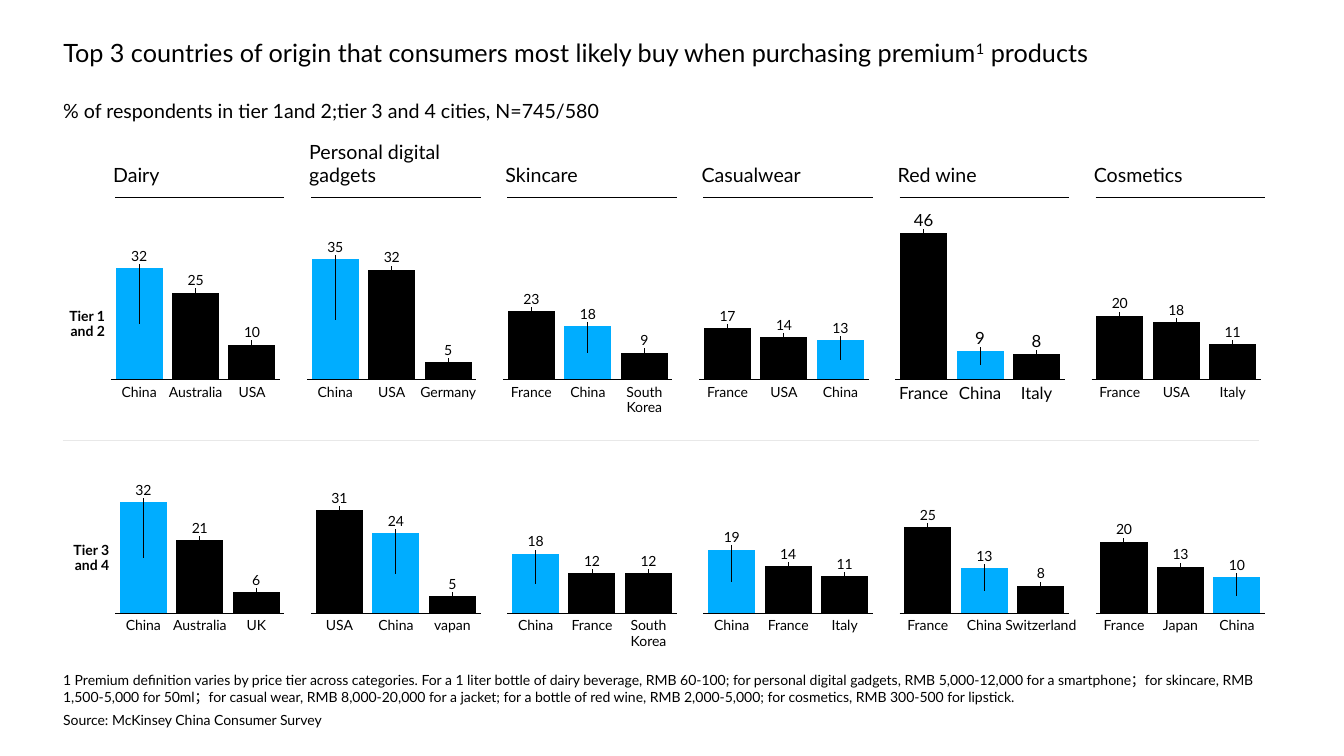
from pptx import Presentation
from pptx.chart.data import CategoryChartData
from pptx.dml.color import RGBColor
from pptx.enum.chart import XL_CHART_TYPE, XL_TICK_LABEL_POSITION, XL_TICK_MARK
from pptx.enum.shapes import MSO_CONNECTOR
from pptx.enum.text import MSO_ANCHOR, PP_ALIGN
from pptx.oxml import parse_xml
from pptx.oxml.ns import nsdecls, qn
from pptx.util import Pt

FONT = "Lato"
COLORS = {"ink": "000000", "china": "00ADFF", "divider": "E8E8E8"}

TITLE = "Top 3 countries of origin that consumers most likely buy when purchasing premium^1^ products"
SUBTITLE = "% of respondents in tier 1and 2;tier 3 and 4 cities, N=745/580"
FOOTNOTE = (
    "1 Premium definition varies by price tier across categories. For a 1 liter bottle of dairy beverage, "
    "RMB 60-100; for personal digital gadgets, RMB 5,000-12,000 for a smartphone；for skincare, "
    "RMB 1,500-5,000 for 50ml；for casual wear, RMB 8,000-20,000 for a jacket; for a bottle of red wine, "
    "RMB 2,000-5,000; for cosmetics, RMB 300-500 for lipstick."
)
SOURCE = "Source: McKinsey China Consumer Survey"

CATEGORIES = ["Dairy", "Personal digital\ngadgets", "Skincare", "Casualwear", "Red wine", "Cosmetics"]
TIERS = [
    {
        "name": "Tier 1\vand 2", "baseline": 271, "shift": 0, "large": "Red wine",
        "charts": [
            (79.3, [("China", 32), ("Australia", 25), ("USA", 10)]),
            (85.6, [("China", 35), ("USA", 32), ("Germany", 5)]),
            (48.9, [("France", 23), ("China", 18), ("South\vKorea", 9)]),
            (36.7, [("France", 17), ("USA", 14), ("China", 13)]),
            (104.8, [("France", 46), ("China", 9), ("Italy", 8)]),
            (45.4, [("France", 20), ("USA", 18), ("Italy", 11)]),
        ],
    },
    {
        "name": "Tier 3\vand 4", "baseline": 438, "shift": 3, "large": None,
        "charts": [
            (79.3, [("China", 32), ("Australia", 21), ("UK", 6)]),
            (73.5, [("USA", 31), ("China", 24), ("vapan", 5)]),
            (42.5, [("China", 18), ("France", 12), ("South\vKorea", 12)]),
            (45.4, [("China", 19), ("France", 14), ("Italy", 11)]),
            (61.2, [("France", 25), ("China", 13), ("Switzerland", 8)]),
            (51, [("France", 20), ("Japan", 13), ("China", 10)]),
        ],
    },
]

FIRST_LEFT, PITCH = 72.7, 140.1
CHART_WIDTH, PLOT_INSET, PLOT_WIDTH = 134, 6.5, 121
SLOT = PLOT_WIDTH / 3
ROOM_ABOVE, ROOM_BELOW = 25.5, 17.6
NAME_WIDTH = 54


def color(name):
    return RGBColor.from_string(COLORS[name])


def write(frame, text, size=10, bold=False, align=PP_ALIGN.LEFT, anchor=MSO_ANCHOR.TOP,
          spacing=None, wrap=False, inset=True):
    frame.word_wrap = wrap
    frame.vertical_anchor = anchor
    if not inset:
        frame.margin_left = frame.margin_right = frame.margin_top = frame.margin_bottom = 0
    for number, line in enumerate(text.split("\n")):
        para = frame.add_paragraph() if number else frame.paragraphs[0]
        para.alignment = align
        if spacing:
            para.line_spacing = spacing
        for row, piece in enumerate(line.split("\v")):
            if row:
                para.add_line_break()
            for part, words in enumerate(piece.split("^")):
                span = para.add_run()
                span.text = words
                span.font.name = FONT
                span.font.size = Pt(size)
                span.font.bold = bold
                span.font.color.rgb = color("ink")
                if part % 2:
                    span.font._element.set("baseline", "30000")


def add_text(page, left, top, width, height, text, **style):
    box = page.shapes.add_textbox(Pt(left), Pt(top), Pt(width), Pt(height))
    write(box.text_frame, text, **style)


def add_rule(page, left, right, y, shade):
    rule = page.shapes.add_connector(MSO_CONNECTOR.STRAIGHT, Pt(left), Pt(y), Pt(right), Pt(y))
    rule.line.color.rgb = color(shade)
    rule.line.width = Pt(1)
    rule._element.spPr.append(parse_xml(f"<a:effectLst {nsdecls('a')}/>"))


def manual_layout(**settings):
    items = "".join(f'<c:{key} val="{value}"/>' for key, value in settings.items())
    return parse_xml(f"<c:layout {nsdecls('c')}><c:manualLayout>{items}</c:manualLayout></c:layout>")


def lift_labels(series, values, plot_height, height, size):
    labels = series.data_labels
    labels.show_value = True
    for index, value in enumerate(values):
        font = series.points[index].data_label.font
        font.name = FONT
        font.size = Pt(size)
        font.color.rgb = color("ink")
        lift = plot_height * value / values[0] / 2 + size * 0.3 + 5.6
        entry = series._element.xpath("c:dLbls/c:dLbl")[index]
        entry.insert(1, manual_layout(x=0, y=round(-lift / height, 4)))
    series._element.find(qn("c:dLbls")).append(parse_xml(
        f'<c:extLst {nsdecls("c")}><c:ext uri="{{CE6537A1-D6FC-4f65-9D91-7224C49458BB}}" '
        'xmlns:c15="http://schemas.microsoft.com/office/drawing/2012/chart">'
        '<c15:showLeaderLines val="1"/></c:ext></c:extLst>'))


def add_bars(page, left, baseline, plot_height, countries, size):
    values = [value for _, value in countries]
    above, below = ROOM_ABOVE * size / 10, ROOM_BELOW * size / 10
    height = above + plot_height + below
    data = CategoryChartData()
    data.categories = ["1", "2", "3"]
    data.add_series("Series 1", values)
    chart = page.shapes.add_chart(
        XL_CHART_TYPE.COLUMN_STACKED, Pt(left), Pt(baseline - plot_height - above),
        Pt(CHART_WIDTH), Pt(height), data).chart
    chart.has_legend = chart.has_title = False
    chart.font.name = FONT
    chart.font.size = Pt(size)
    chart.font.color.rgb = color("ink")

    area = chart._chartSpace.chart.plotArea
    for old in area.findall(qn("c:layout")):
        area.remove(old)
    area.insert(0, manual_layout(
        layoutTarget="inner", xMode="edge", yMode="edge",
        x=round(PLOT_INSET / CHART_WIDTH, 4), y=round(above / height, 4),
        w=round(PLOT_WIDTH / CHART_WIDTH, 4), h=round(plot_height / height, 4)))

    axis = chart.category_axis
    axis.tick_label_position = XL_TICK_LABEL_POSITION.NONE
    axis.major_tick_mark = axis.minor_tick_mark = XL_TICK_MARK.NONE
    axis.has_major_gridlines = False
    axis.format.line.color.rgb = color("ink")
    axis.format.line.width = Pt(0.75)
    scale = chart.value_axis
    scale.minimum_scale, scale.maximum_scale = 0, values[0]
    scale.has_major_gridlines = False
    scale.visible = False

    plot = chart.plots[0]
    plot.gap_width, plot.overlap, plot.vary_by_categories = 20, 100, False
    series = plot.series[0]
    series.format.fill.solid()
    series.format.fill.fore_color.rgb = color("ink")
    for index, (country, _) in enumerate(countries):
        if country == "China":
            fill = series.points[index].format.fill
            fill.solid()
            fill.fore_color.rgb = color("china")
    lift_labels(series, values, plot_height, height, size)


def add_tier(page, tier):
    baseline, shift = tier["baseline"], tier["shift"]
    add_text(page, 47.5 + shift, baseline - 50, 27.5, 22, tier["name"], bold=True, inset=False,
             align=PP_ALIGN.RIGHT, anchor=MSO_ANCHOR.MIDDLE, spacing=0.9)
    for column, (plot_height, countries) in enumerate(tier["charts"]):
        left = FIRST_LEFT + PITCH * column + shift
        size = 12 if CATEGORIES[column] == tier["large"] else 10
        add_bars(page, left, baseline, plot_height, countries, size)
        for index, (country, _) in enumerate(countries):
            center = left + PLOT_INSET + SLOT * (index + 0.5)
            add_text(page, center - NAME_WIDTH / 2, baseline + 4, NAME_WIDTH, 11, country,
                     size=size, align=PP_ALIGN.CENTER, spacing=0.9, inset=False)


def main():
    deck = Presentation()
    deck.slide_width, deck.slide_height = Pt(960), Pt(540)
    page = deck.slides.add_slide(deck.slide_layouts[5])
    title = page.shapes.title
    title.left, title.top, title.width, title.height = Pt(38), Pt(23), Pt(883), Pt(29)
    write(title.text_frame, TITLE, size=18, wrap=True)
    add_text(page, 38, 59, 410, 30, SUBTITLE, size=14, spacing=1.5)

    for column, category in enumerate(CATEGORIES):
        left = FIRST_LEFT + PITCH * column
        add_text(page, left + 1, 96, 120, 41, category, size=14, anchor=MSO_ANCHOR.BOTTOM)
        add_rule(page, left + 9.5, left + 130.5, 141, "ink")
    for tier in TIERS:
        add_tier(page, tier)
    add_rule(page, 45, 899, 314.6, "divider")

    add_text(page, 38, 476, 873, 32, FOOTNOTE, wrap=True)
    add_text(page, 38, 505, 205, 19, SOURCE)
    deck.save("out.pptx")


if __name__ == "__main__":
    main()
